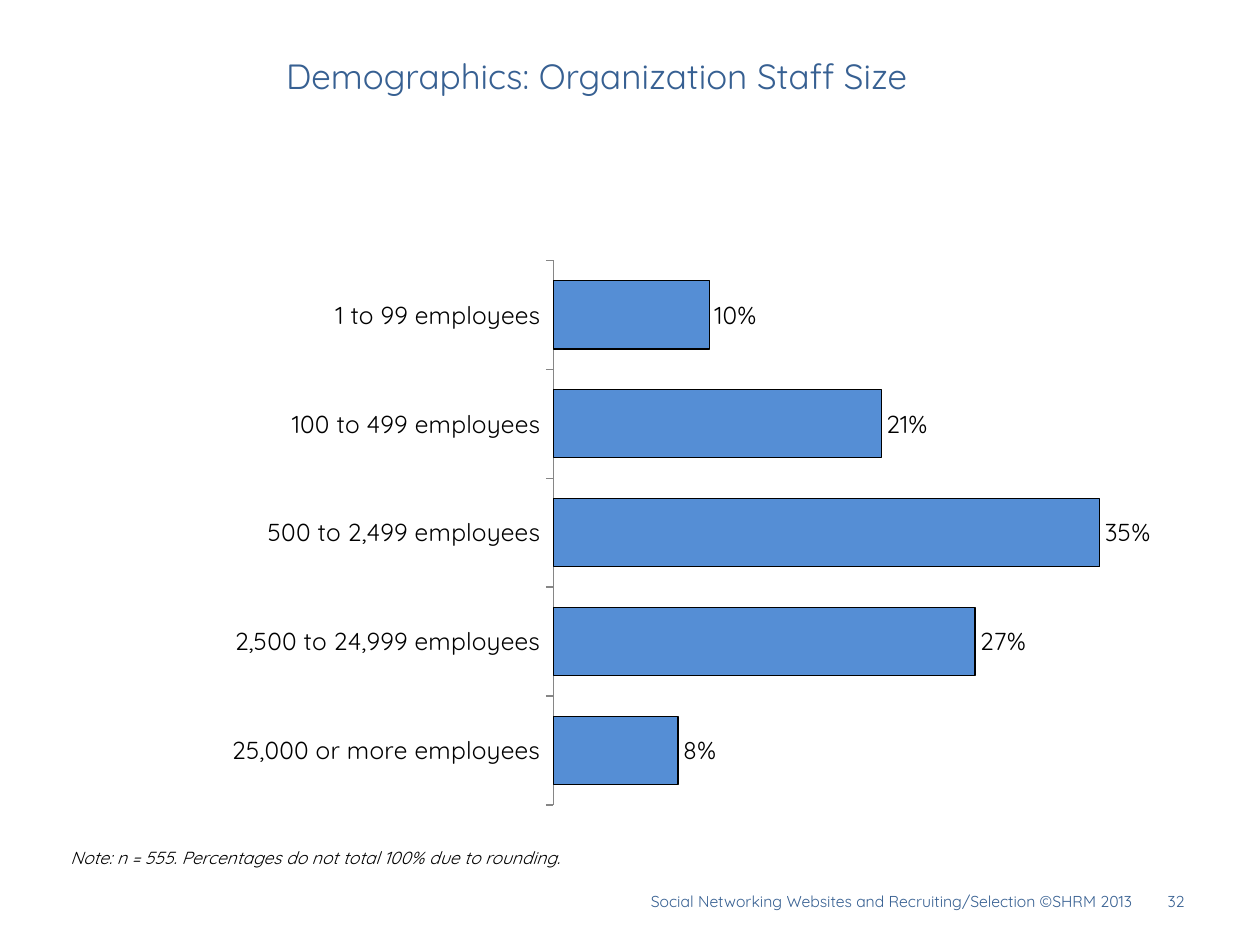
from lxml.etree import SubElement
from pptx import Presentation
from pptx.chart.data import CategoryChartData
from pptx.dml.color import RGBColor
from pptx.enum.chart import XL_CHART_TYPE, XL_LABEL_POSITION, XL_TICK_LABEL_POSITION, XL_TICK_MARK
from pptx.enum.text import MSO_ANCHOR, PP_ALIGN
from pptx.oxml.ns import qn
from pptx.util import Inches, Pt

FONT = "Quicksand"
NAVY = RGBColor(0x37, 0x60, 0x92)
BLUE = RGBColor(0x55, 0x8E, 0xD5)
GRAY = RGBColor(0x86, 0x86, 0x86)
BLACK = RGBColor(0, 0, 0)
PERCENT = "###0%"


def style_font(font, size, color, italic=False):
    values = {"name": FONT, "size": Pt(size), "bold": False, "italic": italic}
    for name, value in values.items():
        setattr(font, name, value)
    font.color.rgb = color


def write_text(box, text, size, color, align, anchor, italic=False):
    frame = box.text_frame
    frame.word_wrap = True
    frame.vertical_anchor = anchor
    paragraph = frame.paragraphs[0]
    paragraph.alignment = align
    run = paragraph.add_run()
    run.text = text
    style_font(run.font, size, color, italic)


prs = Presentation()
prs.slide_width, prs.slide_height = Inches(10), Inches(7.5)
slide = prs.slides.add_slide(prs.slide_layouts[5])

# Title
title = slide.shapes.title
title.left, title.top = Inches(2.17), Inches(0.2)
title.width, title.height = Inches(7.33), Inches(0.8)
write_text(title, "Demographics: Organization Staff Size", 20, NAVY,
           PP_ALIGN.LEFT, MSO_ANCHOR.MIDDLE)

# Note, footer and page number
small_texts = [
    ("Note: n = 555. Percentages do not total 100% due to rounding.",
     0.46, 6.67, 8.62, 0.25, 10, BLACK, PP_ALIGN.LEFT, MSO_ANCHOR.TOP, True),
    ("Social Networking Websites and Recruiting/Selection ©SHRM 2013",
     0.46, 6.95, 8.62, 0.4, 9, NAVY, PP_ALIGN.RIGHT, MSO_ANCHOR.MIDDLE, False),
    ("32", 9.08, 6.95, 0.42, 0.4, 9, NAVY, PP_ALIGN.RIGHT, MSO_ANCHOR.MIDDLE, False),
]
for text, left, top, width, height, *text_format in small_texts:
    box = slide.shapes.add_textbox(Inches(left), Inches(top), Inches(width), Inches(height))
    write_text(box, text, *text_format)

# Staff size chart
staff_sizes = CategoryChartData(number_format=PERCENT)
staff_sizes.categories = [
    "1 to 99 employees",
    "100 to 499 employees",
    "500 to 2,499 employees",
    "2,500 to 24,999 employees",
    "25,000 or more employees",
]
staff_sizes.add_series("Series 1", [0.1, 0.21, 0.35, 0.27, 0.08])
chart = slide.shapes.add_chart(
    XL_CHART_TYPE.BAR_CLUSTERED, Inches(0.65), Inches(1.83),
    Inches(8.7), Inches(4.75), staff_sizes).chart
chart.has_legend = False
chart.has_title = False
style_font(chart.font, 10, BLACK)

# Axes
size_axis = chart.category_axis
size_axis.reverse_order = True
size_axis.major_tick_mark = XL_TICK_MARK.OUTSIDE
size_axis.tick_label_position = XL_TICK_LABEL_POSITION.LOW
size_axis.format.line.color.rgb = GRAY
size_axis.format.line.width = Pt(0.75)
style_font(size_axis.tick_labels.font, 14, BLACK)
share_axis = chart.value_axis
axis_values = {"minimum_scale": 0, "maximum_scale": 0.4,
               "has_major_gridlines": False, "visible": False}
for name, value in axis_values.items():
    setattr(share_axis, name, value)

# Bars and their labels
plot = chart.plots[0]
plot.gap_width = 60
plot.vary_by_categories = False
bars = plot.series[0]
bars.format.fill.solid()
bars.format.fill.fore_color.rgb = BLUE
bars.format.line.color.rgb = BLACK
bars.format.line.width = Pt(0.75)
labels = bars.data_labels
label_values = {"show_value": True, "position": XL_LABEL_POSITION.OUTSIDE_END,
                "number_format": PERCENT, "number_format_is_linked": False}
for name, value in label_values.items():
    setattr(labels, name, value)
style_font(labels.font, 14, BLACK)

# Fixed inner plot area
plot_area = chart._chartSpace.find(".//" + qn("c:plotArea"))
for old_layout in plot_area.findall(qn("c:layout")):
    plot_area.remove(old_layout)
layout = SubElement(plot_area, qn("c:layout"))
plot_area.insert(0, layout)
manual = SubElement(layout, qn("c:manualLayout"))
layout_values = {"layoutTarget": "inner", "xMode": "edge", "yMode": "edge",
                 "x": 0.43, "y": 0.05, "w": 0.57, "h": 0.91}
for tag, value in layout_values.items():
    SubElement(manual, qn("c:" + tag)).set("val", str(value))

prs.save("out.pptx")
